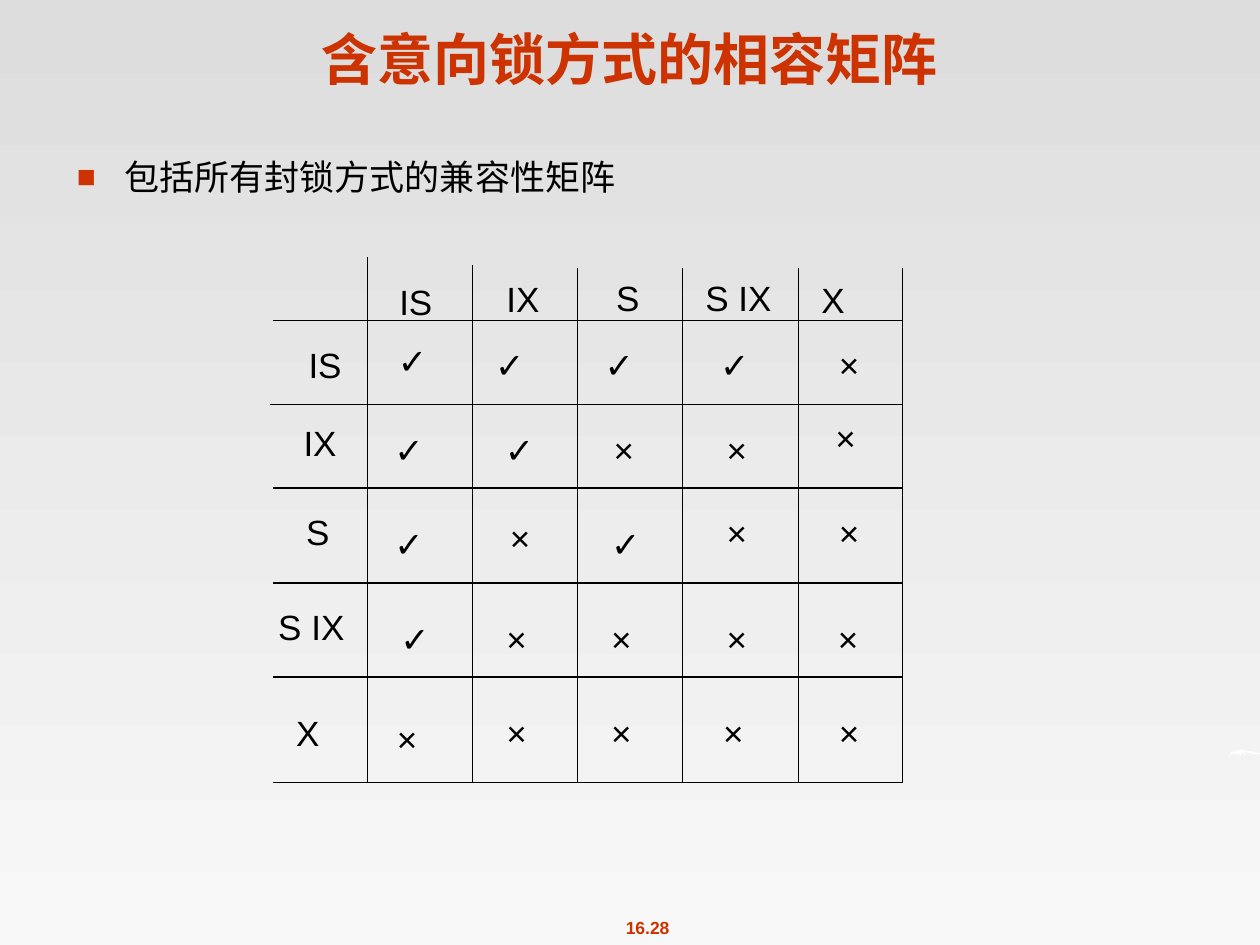
from lxml import etree
from pptx import Presentation
from pptx.dml.color import RGBColor
from pptx.enum.shapes import MSO_CONNECTOR
from pptx.enum.text import MSO_ANCHOR, MSO_AUTO_SIZE, PP_ALIGN
from pptx.oxml.ns import qn
from pptx.util import Cm, Pt

STRAIGHT = MSO_CONNECTOR.STRAIGHT
BOTTOM = MSO_ANCHOR.BOTTOM
FIT_SHAPE, NO_FIT = MSO_AUTO_SIZE.SHAPE_TO_FIT_TEXT, MSO_AUTO_SIZE.NONE
LEFT, CENTER = PP_ALIGN.LEFT, PP_ALIGN.CENTER

COLORS = {"accent": "CC3300", "ink": "000000", "white": "FFFFFF",
          "bg_top": "DDDDDD", "bg_bottom": "F8F8F8"}
TITLE = {"name": "Arial", "size": Pt(32), "bold": True}
BODY = {"name": "Times New Roman", "size": Pt(20)}
CELL = {"name": "Arial", "size": Pt(20)}
NUMBER = {"name": "Arial", "size": Pt(10), "bold": True}


def rgb(key):
    return RGBColor.from_string(COLORS[key])


def add_text(shapes, text, box, fmt, color="ink", align=LEFT, wrap=False):
    sp = shapes.add_textbox(*[Cm(v) for v in box])
    tf = sp.text_frame
    tf.word_wrap = wrap
    tf.auto_size = NO_FIT if wrap else FIT_SHAPE
    p = tf.paragraphs[0]
    p.alignment = align
    r = p.add_run()
    r.text = text
    for key, value in fmt.items():
        setattr(r.font, key, value)
    r.font.color.rgb = rgb(color)
    return tf


prs = Presentation()
prs.slide_width, prs.slide_height = Cm(25.4), Cm(19.05)
s = prs.slides.add_slide(prs.slide_layouts[6])

# Background gradient, top to bottom
fill = s.background.fill
fill.gradient()
fill.gradient_angle = 270
for stop, key, pos in zip(fill.gradient_stops, ("bg_top", "bg_bottom"), (0, 1)):
    stop.color.rgb = rgb(key)
    stop.position = pos

# Page number
add_text(s.shapes, "16.28", (11.71, 18.36, 2.69, 0.69), NUMBER, "accent", CENTER)

# White ornament at the right edge
ornament = [(24.77, 15.27), (24.82, 15.16), (24.92, 15.14), (25.02, 15.11),
            (25.17, 15.14), (25.3, 15.16), (25.4, 15.19), (25.35, 15.21),
            (25.2, 15.19), (25.1, 15.16), (25.1, 15.24), (25.02, 15.16),
            (25.02, 15.24), (24.94, 15.16), (24.97, 15.24), (24.89, 15.19),
            (24.82, 15.21)]
points = [(Cm(x), Cm(y)) for x, y in ornament]
builder = s.shapes.build_freeform(*points[0])
builder.add_line_segments(points[1:], close=True)
sp = builder.convert_to_shape()
sp.shadow.inherit = False
sp.fill.solid()
sp.fill.fore_color.rgb = rgb("white")
sp.line.fill.background()

# Title
tf = add_text(s.shapes, "含意向锁方式的相容矩阵", (0, 0, 25.4, 1.98), TITLE,
              "accent", CENTER, wrap=True)
tf.vertical_anchor = BOTTOM

# Bulleted statement
tf = add_text(s.shapes, "包括所有封锁方式的兼容性矩阵", (1.3, 3.02, 22.78, 13.61), BODY, wrap=True)
pPr = tf.paragraphs[0]._p.get_or_add_pPr()
pPr.set("marL", str(Cm(0.96)))
pPr.set("indent", str(-Cm(0.96)))
buClr = etree.SubElement(pPr, qn("a:buClr"))
etree.SubElement(buClr, qn("a:srgbClr"), val=COLORS["accent"])
etree.SubElement(pPr, qn("a:buSzPct"), val="90000")
etree.SubElement(pPr, qn("a:buFont"), typeface="Arial")
etree.SubElement(pPr, qn("a:buChar"), char="■")

# Matrix rules: (x, top) of the verticals, (y, left) of the horizontals
RIGHT_EDGE, BOTTOM_EDGE = 18.2, 15.77
verticals = [(7.41, 5.18), (9.53, 5.34), (11.64, 5.4), (13.76, 5.4),
             (16.09, 5.4), (RIGHT_EDGE, 5.4)]
horizontals = [(6.46, 5.5), (8.15, 5.44), (9.84, 5.5), (11.75, 5.5),
               (13.65, 5.5), (BOTTOM_EDGE, 5.5)]
rules = [(x, top, x, BOTTOM_EDGE) for x, top in verticals]
rules += [(left, y, RIGHT_EDGE, y) for y, left in horizontals]
matrix = s.shapes.add_group_shape().shapes
for ends in rules:
    line = matrix.add_connector(STRAIGHT, *[Cm(v) for v in ends])
    line.line.color.rgb = rgb("ink")
    line.line.width = Pt(0.75)
    etree.SubElement(line._element.spPr, qn("a:effectLst"))

# Matrix entries, row by row: text, left, top
WIDTHS = {"IS": 1.17, "IX": 1.17, "S": 0.97, "S IX": 2.1, "X": 1.17,
          "✓": 1.09, "×": 1.07}
rows = [
    [("IS", 7.8, 5.54), ("IX", 9.96, 5.46), ("S", 12.17, 5.44),
     ("S IX", 13.97, 5.44), ("X", 16.31, 5.49)],
    [("IS", 5.97, 6.81), ("✓", 7.77, 6.71), ("✓", 9.73, 6.81),
     ("✓", 11.94, 6.81), ("✓", 14.27, 6.81), ("×", 16.66, 6.81)],
    [("IX", 5.87, 8.38), ("✓", 7.7, 8.51), ("✓", 9.93, 8.51),
     ("×", 12.12, 8.51), ("×", 14.4, 8.51), ("×", 16.59, 8.28)],
    [("S", 5.92, 10.16), ("✓", 7.7, 10.41), ("×", 10.03, 10.29),
     ("✓", 12.07, 10.41), ("×", 14.4, 10.19), ("×", 16.66, 10.19)],
    [("S IX", 5.36, 12.09), ("✓", 7.82, 12.32), ("×", 9.96, 12.32),
     ("×", 12.07, 12.32), ("×", 14.4, 12.32), ("×", 16.64, 12.32)],
    [("X", 5.72, 14.22), ("×", 7.75, 14.33), ("×", 9.96, 14.22),
     ("×", 12.07, 14.22), ("×", 14.33, 14.22), ("×", 16.66, 14.22)],
]
for row in rows:
    for text, left, top in row:
        add_text(matrix, text, (left, top, WIDTHS[text], 1.12), CELL)

prs.save("out.pptx")
